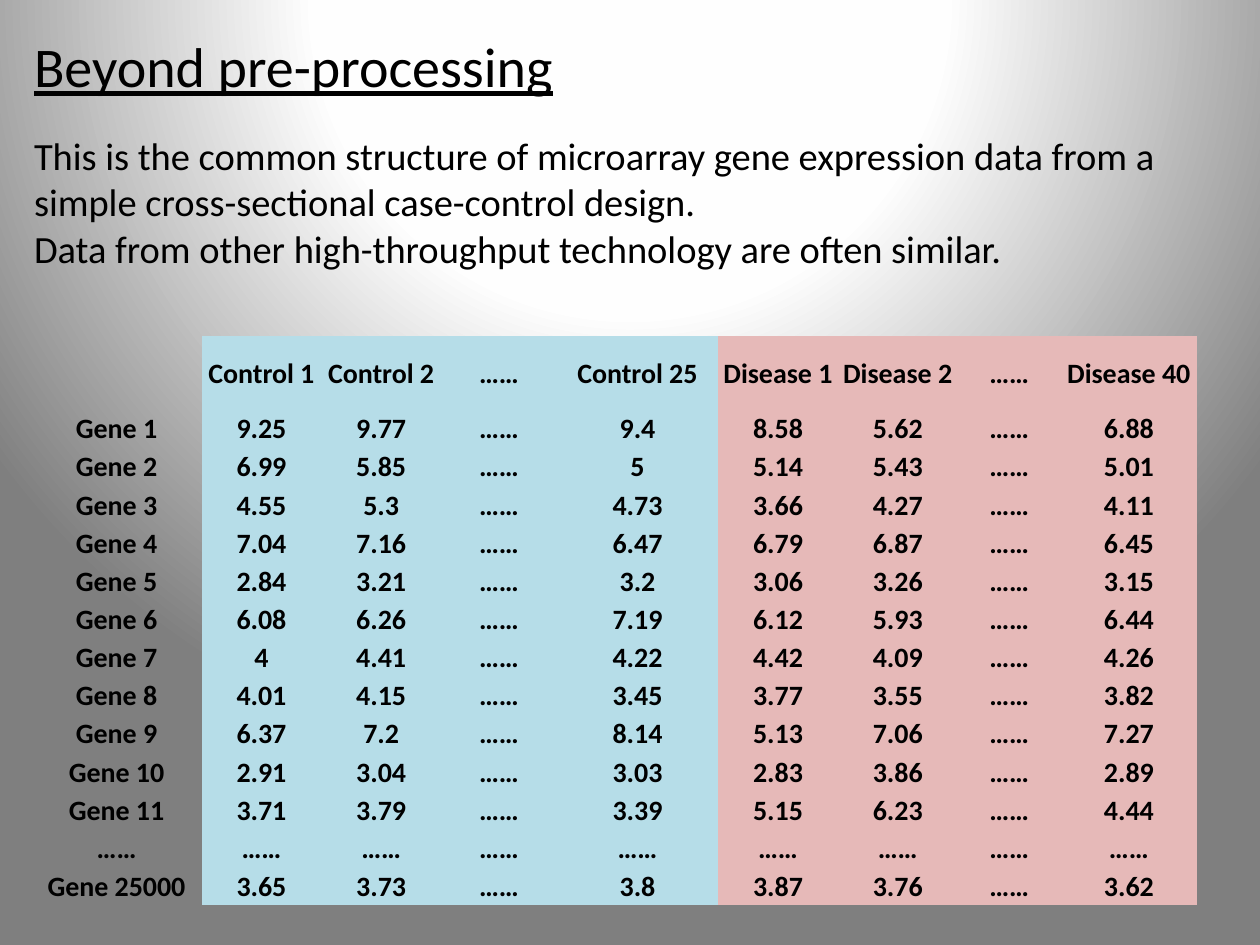
from lxml import etree
from pptx import Presentation
from pptx.dml.color import RGBColor
from pptx.enum.text import MSO_ANCHOR, MSO_AUTO_SIZE, PP_ALIGN
from pptx.oxml.ns import nsdecls, qn
from pptx.util import Inches, Pt

LEFT, CENTER = PP_ALIGN.LEFT, PP_ALIGN.CENTER
TOP, MIDDLE = MSO_ANCHOR.TOP, MSO_ANCHOR.MIDDLE
NO_AUTOFIT = MSO_AUTO_SIZE.NONE

CONTROL_FILL, DISEASE_FILL = "B6DDE8", "E6B9B8"
BACKDROP_STOPS = [(0, "FFFFFF"), (40, "FEFEFE"), (100, "7F7F7F")]
PLAIN_TABLE_STYLE = "{2D5ABB26-0587-4C30-8999-92F81FD0307C}"

TITLE_FORMAT = {"name": "Calibri", "size": Pt(32), "underline": True}
INTRO_FORMAT = {"name": "Calibri", "size": Pt(22)}
CELL_FORMAT = {"name": "Calibri", "size": Pt(16), "bold": True}
CELL_LAYOUT = {
    "vertical_anchor": MIDDLE,
    "margin_left": Inches(0.01),
    "margin_right": Inches(0.01),
    "margin_top": Inches(0.01),
    "margin_bottom": 0,
}

INTRO = [
    "This is the common structure of microarray gene expression data from a "
    "simple cross-sectional case-control design.",
    "Data from other high-throughput technology are often similar.",
]
GAP = "……"
CONTROLS = ["Control 1", "Control 2", GAP, "Control 25"]
DISEASES = ["Disease 1", "Disease 2", GAP, "Disease 40"]
EXPRESSION = [
    ("Gene 1", "9.25 9.77 …… 9.4 8.58 5.62 …… 6.88"),
    ("Gene 2", "6.99 5.85 …… 5 5.14 5.43 …… 5.01"),
    ("Gene 3", "4.55 5.3 …… 4.73 3.66 4.27 …… 4.11"),
    ("Gene 4", "7.04 7.16 …… 6.47 6.79 6.87 …… 6.45"),
    ("Gene 5", "2.84 3.21 …… 3.2 3.06 3.26 …… 3.15"),
    ("Gene 6", "6.08 6.26 …… 7.19 6.12 5.93 …… 6.44"),
    ("Gene 7", "4 4.41 …… 4.22 4.42 4.09 …… 4.26"),
    ("Gene 8", "4.01 4.15 …… 3.45 3.77 3.55 …… 3.82"),
    ("Gene 9", "6.37 7.2 …… 8.14 5.13 7.06 …… 7.27"),
    ("Gene 10", "2.91 3.04 …… 3.03 2.83 3.86 …… 2.89"),
    ("Gene 11", "3.71 3.79 …… 3.39 5.15 6.23 …… 4.44"),
    (GAP, " ".join([GAP] * 8)),
    ("Gene 25000", "3.65 3.73 …… 3.8 3.87 3.76 …… 3.62"),
]
COLUMN_WIDTHS = [1.35, 0.95, 0.95, 0.92, 1.28, 0.95, 0.95, 0.82, 1.08]
HEADER_HEIGHT = 0.58


def color(hex_value):
    return RGBColor.from_string(hex_value)


def set_values(target, values):
    for key, value in values.items():
        setattr(target, key, value)


def format_paragraph(paragraph, font_format, alignment):
    paragraph.alignment = alignment
    set_values(paragraph.font, font_format)
    paragraph.font.color.rgb = color("000000")


def paint_backdrop(slide):
    """Radial gradient centred on the slide, stretched vertically."""
    slide.background.fill.gradient()
    stops = "".join(
        f'<a:gs pos="{percent * 1000}"><a:srgbClr val="{tone}"/></a:gs>'
        for percent, tone in BACKDROP_STOPS
    )
    radial = etree.fromstring(
        f'<a:gradFill {nsdecls("a")} rotWithShape="1"><a:gsLst>{stops}</a:gsLst>'
        '<a:path path="circle"><a:fillToRect l="50000" t="-80000" r="50000" '
        'b="180000"/></a:path></a:gradFill>'
    )
    linear = slide.element.find(".//" + qn("a:gradFill"))
    linear.getparent().replace(linear, radial)


def place_text(placeholder, box, lines, font_format, anchor):
    """Fill a placeholder with plain, unbulleted lines inside box."""
    left, top, width, height = (Inches(length) for length in box)
    set_values(placeholder, {"left": left, "top": top, "width": width, "height": height})
    frame = placeholder.text_frame
    set_values(frame, {"word_wrap": True, "auto_size": NO_AUTOFIT, "vertical_anchor": anchor})
    frame.text = "\n".join(lines)
    for paragraph in frame.paragraphs:
        properties = paragraph._p.get_or_add_pPr()
        properties.set("marL", "0")
        properties.set("indent", "0")
        paragraph.space_before = Pt(0)
        etree.SubElement(properties, qn("a:buNone"))
        format_paragraph(paragraph, font_format, LEFT)


def fill_cell(cell, text, fill):
    set_values(cell, CELL_LAYOUT)
    cell.text = text
    format_paragraph(cell.text_frame.paragraphs[0], CELL_FORMAT, CENTER)
    if fill:
        cell.fill.solid()
        cell.fill.fore_color.rgb = color(fill)
    else:
        cell.fill.background()


def place_expression_table(slide, box):
    rows = [["", *CONTROLS, *DISEASES]]
    rows += [[gene, *levels.split()] for gene, levels in EXPRESSION]
    fills = [None] + [CONTROL_FILL] * len(CONTROLS) + [DISEASE_FILL] * len(DISEASES)
    frame = slide.shapes.add_table(len(rows), len(fills), *(Inches(length) for length in box))
    table = frame.table
    set_values(table, {"first_row": False, "horz_banding": False})
    table._tbl.tblPr.find(qn("a:tableStyleId")).text = PLAIN_TABLE_STYLE

    for column, width in zip(table.columns, COLUMN_WIDTHS):
        column.width = Inches(width)
    gene_height = (box[3] - HEADER_HEIGHT) / len(EXPRESSION)
    for index, (row, texts) in enumerate(zip(table.rows, rows)):
        row.height = Inches(gene_height if index else HEADER_HEIGHT)
        for cell, text, fill in zip(row.cells, texts, fills):
            fill_cell(cell, text, fill)


def main():
    presentation = Presentation()
    presentation.slide_width = Inches(10)
    presentation.slide_height = Inches(7.5)
    slide = presentation.slides.add_slide(presentation.slide_layouts[1])
    paint_backdrop(slide)
    place_text(slide.shapes.title, (0.17, 0.2, 9.58, 0.64),
               ["Beyond pre-processing"], TITLE_FORMAT, MIDDLE)
    place_text(slide.placeholders[1], (0.17, 1, 9.67, 1.21), INTRO, INTRO_FORMAT, TOP)
    place_expression_table(slide, (0.25, 2.67, 9.25, 4.52))
    presentation.save("out.pptx")


if __name__ == "__main__":
    main()
